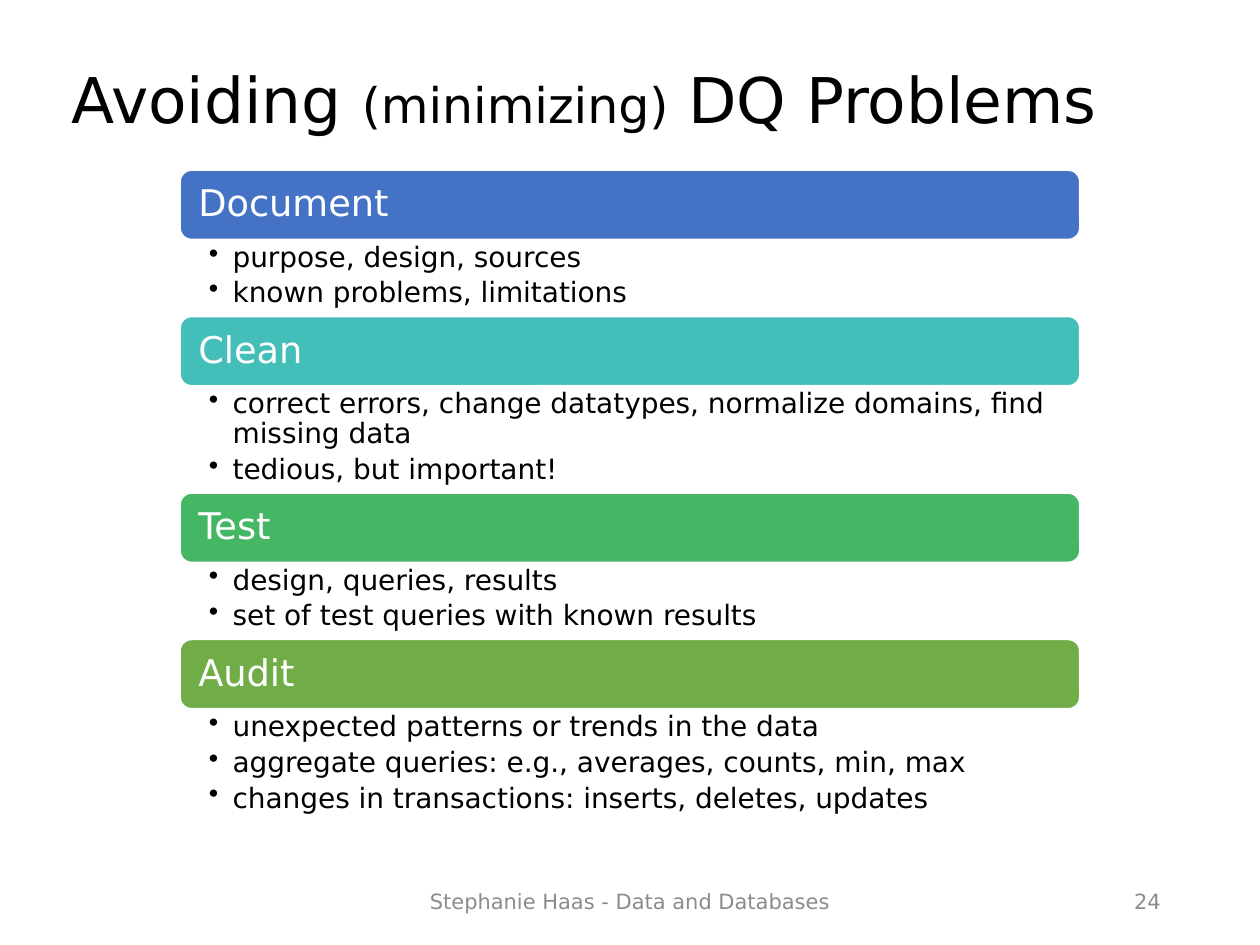
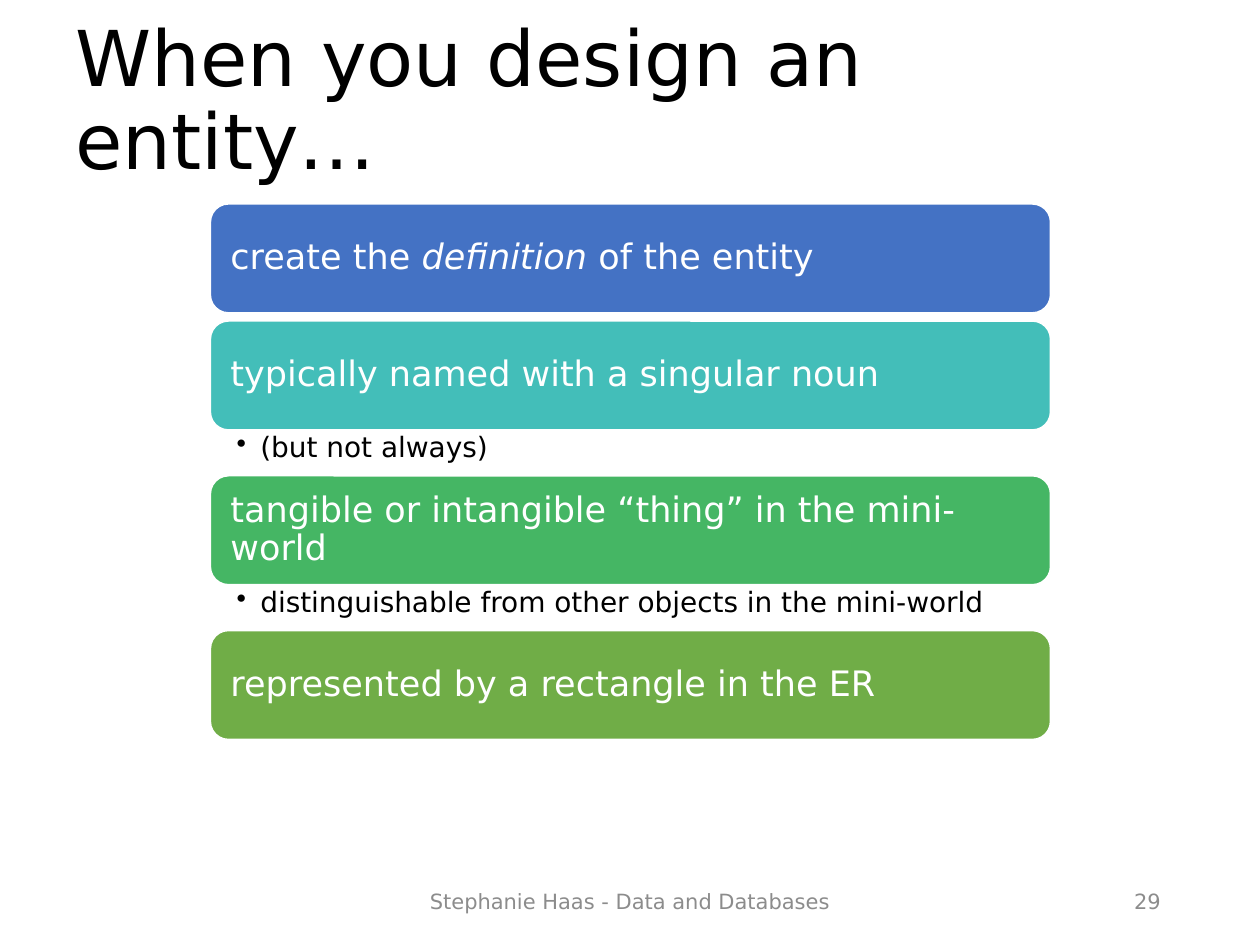
import dataclasses

import pptx
import pptx.dml.color
import pptx.enum.shapes
import pptx.enum.text
import pptx.util
from lxml import etree

Cm, Pt = pptx.util.Cm, pptx.util.Pt
RGB = pptx.dml.color.RGBColor.from_string
ANCHOR = pptx.enum.text.MSO_ANCHOR
ALIGN = pptx.enum.text.PP_ALIGN


@dataclasses.dataclass(frozen=True)
class Theme:
    font: str = "DejaVu Sans"
    ink: str = "000000"
    paper: str = "FFFFFF"
    muted: str = "8C8C8C"
    bars: tuple = ("4472C4", "43BEB9", "45B664", "70AD47")
    bullet_size: int = 16
    footer_size: int = 12
    spacing: float = 0.9


T = Theme()
MIDDLE = {"vertical_anchor": ANCHOR.MIDDLE}
TIGHT = {"line_spacing": T.spacing, "alignment": ALIGN.LEFT}
BULLET = {"level": 1, "line_spacing": T.spacing, "space_after": Pt(3.2)}


def write(tf, paragraphs, size, color, frame, para):
    """Fill a text frame; each paragraph is a list of (text, font overrides)."""
    frame = {"word_wrap": True, "auto_size": pptx.enum.text.MSO_AUTO_SIZE.NONE, **frame}
    for name, value in frame.items():
        setattr(tf, name, value)
    for i, runs in enumerate(paragraphs):
        p = tf.paragraphs[0] if i == 0 else tf.add_paragraph()
        for name, value in para.items():
            setattr(p, name, value)
        for text, changes in runs:
            r = p.add_run()
            r.text = text
            r.font.color.rgb = RGB(color)
            for name, value in {"name": T.font, "size": Pt(size), **changes}.items():
                setattr(r.font, name, value)


def add_bullets(tf, hanging):
    for p in tf.paragraphs:
        pPr = p._p.get_or_add_pPr()
        pPr.set("marL", str(hanging))
        pPr.set("indent", str(-hanging))
        bu = etree.SubElement(pPr, pptx.oxml.ns.qn("a:buChar"))
        bu.set("char", "•")


# Each section: heading runs, bullets, distance from this bar to the next (cm)
SLIDES = [
    {
        "title": [("Avoiding ", {}), ("(minimizing)", {"size": Pt(28)}), (" DQ Problems", {})],
        "title_size": 36,
        "title_box": (1.19, 0.61, 21.89, 2.95),
        "left": 3.63, "top": 3.43, "width": 18.14, "bar": 1.4,
        "heading_size": 21, "list_inset": 0.58,
        "sections": [
            ([("Document", {})],
             ["purpose, design, sources", "known problems, limitations"], 1.55),
            ([("Clean", {})],
             ["correct errors, change datatypes, normalize domains, find missing data",
              "tedious, but important!"], 2.16),
            ([("Test", {})],
             ["design, queries, results", "set of test queries with known results"], 1.55),
            ([("Audit", {})],
             ["unexpected patterns or trends in the data",
              "aggregate queries: e.g., averages, counts, min, max",
              "changes in transactions: inserts, deletes, updates"], 2.29),
        ],
        "number": "24",
    },
    {
        "title": [("When you design an entity…", {})],
        "title_size": 44,
        "title_box": (1.27, 0.76, 22.86, 2.62),
        "left": 4.24, "top": 4.11, "width": 16.94, "bar": 2.2,
        "heading_size": 20, "list_inset": 0.53,
        "sections": [
            ([("create the ", {}), ("definition", {"italic": True}), (" of the entity", {})],
             [], 0.16),
            ([("typically named with a singular noun", {})], ["(but not always)"], 0.92),
            ([("tangible or intangible “thing” in the mini-world", {})],
             ["distinguishable from other objects in the mini-world"], 0.92),
            ([("represented by a rectangle in the ER", {})], [], 0),
        ],
        "number": "29",
    },
]

prs = pptx.Presentation()
prs.slide_width, prs.slide_height = Cm(25.4), Cm(19.05)

for page in SLIDES:
    s = prs.slides.add_slide(prs.slide_layouts[5])
    title = s.shapes.title
    title.left, title.top, title.width, title.height = map(Cm, page["title_box"])
    write(title.text_frame, [page["title"]], page["title_size"], T.ink, MIDDLE, TIGHT)

    # Stack of heading bars, each followed by its bullets
    group = s.shapes.add_group_shape()
    left, width, y = Cm(page["left"]), Cm(page["width"]), page["top"]
    for color, (heading, bullets, below) in zip(T.bars, page["sections"]):
        bar = group.shapes.add_shape(pptx.enum.shapes.MSO_SHAPE.ROUNDED_RECTANGLE,
                                     left, Cm(y), width, Cm(page["bar"]))
        bar.shadow.inherit = False
        bar.fill.solid()
        bar.fill.fore_color.rgb = RGB(color)
        bar.line.color.rgb = RGB(T.paper)
        bar.line.width = Pt(1)
        inset = {"margin_left": Cm(0.3), "margin_right": Cm(0.3)}
        write(bar.text_frame, [heading], page["heading_size"], T.paper,
              {**MIDDLE, **inset}, TIGHT)
        y += page["bar"]

        if bullets:
            box = group.shapes.add_textbox(left, Cm(y), width, Cm(below))
            frame = {"margin_left": Cm(page["list_inset"]), "margin_right": Cm(0.4),
                     "margin_top": Cm(0.07), "margin_bottom": Cm(0.07)}
            write(box.text_frame, [[(b, {})] for b in bullets], T.bullet_size, T.ink,
                  frame, BULLET)
            add_bullets(box.text_frame, Cm(0.48))
        y += below

    for text, x, w, align in (
        ("Stephanie Haas - Data and Databases", 8.41, 8.58, ALIGN.CENTER),
        (page["number"], 17.93, 5.72, ALIGN.RIGHT),
    ):
        box = s.shapes.add_textbox(Cm(x), Cm(17.65), Cm(w), Cm(1.02))
        write(box.text_frame, [[(text, {})]], T.footer_size, T.muted, MIDDLE,
              {"alignment": align})

prs.save("out.pptx")
